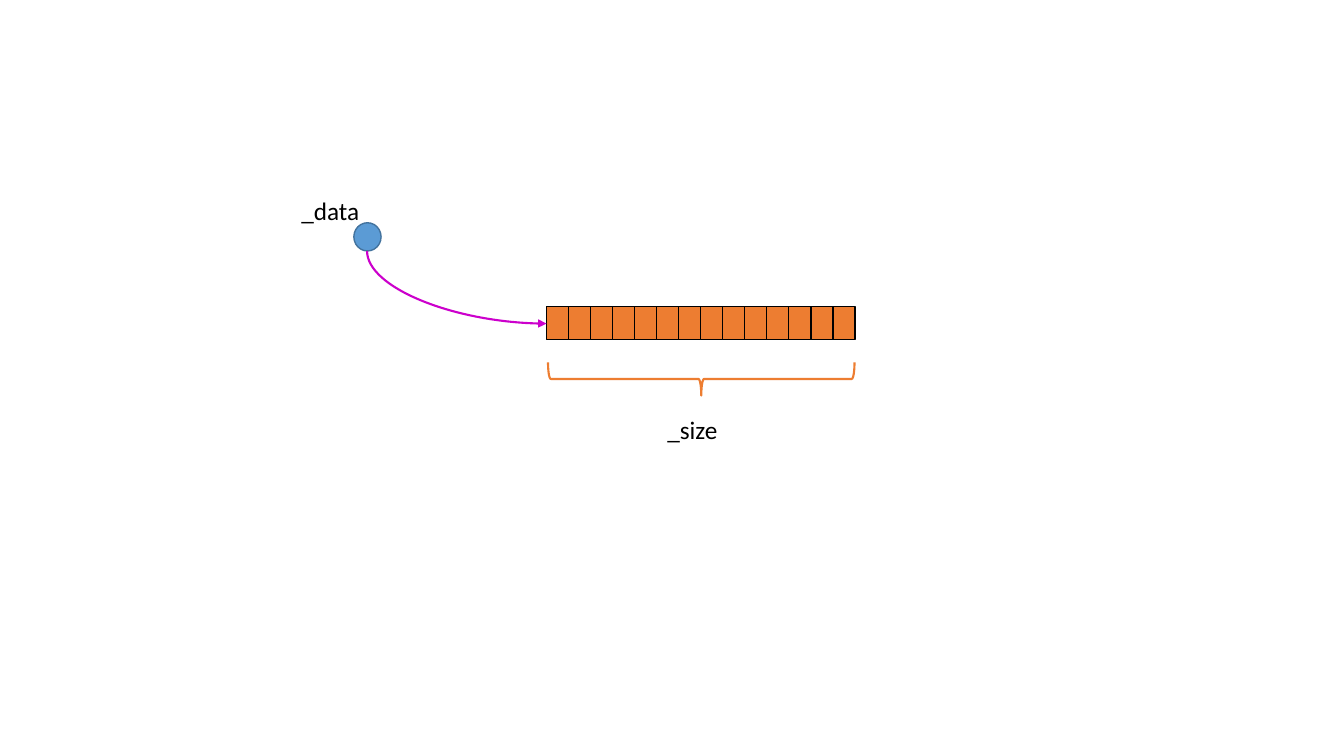
"""Build a slide showing a data pointer to a contiguous array and its size."""
from lxml import etree
from pptx import Presentation
from pptx.dml.color import RGBColor
from pptx.enum import shapes, text
from pptx.oxml.ns import qn
from pptx.util import Inches, Pt

COLORS = {"pointer": "5B9BD5", "pointer_line": "43739E", "array": "ED7D31",
          "cell_line": "000000", "arrow": "CC00CC", "text": "000000"}
FONT = "Calibri"
LABELS = [("_data", 2.89, 1.89), ("_size", 6.52, 4.06)]
POINTER = (3.51, 2.21, 0.27, 0.28)
BRACE = (6.79, 2.24, 0.33, 3.04)
CELL_COUNT = 14
ARRAY_LEFT, LAST_CELL_LEFT, ARRAY_TOP = 5.42, 8.26, 3.04
CELL_WIDTH, CELL_HEIGHT = 0.22, 0.33
ARROW_START, ARROW_END = (3.64, 2.49), (5.42, 3.21)


def color(name):
    return RGBColor.from_string(COLORS[name])


def add_shape(slide, kind, box, fill, line, line_width):
    shape = slide.shapes.add_shape(kind, *map(Inches, box))
    shape.shadow.inherit = False
    if fill:
        shape.fill.solid()
        shape.fill.fore_color.rgb = color(fill)
    else:
        shape.fill.background()
    shape.line.color.rgb = color(line)
    shape.line.width = Pt(line_width)
    return shape


def add_label(slide, words, left, top):
    box = slide.shapes.add_textbox(*map(Inches, (left, top, 0.89, 0.4)))
    box.text_frame.word_wrap = True
    box.text_frame.auto_size = text.MSO_AUTO_SIZE.SHAPE_TO_FIT_TEXT
    paragraph = box.text_frame.paragraphs[0]
    paragraph.text = words
    paragraph.font.name = FONT
    paragraph.font.size = Pt(18)
    paragraph.font.color.rgb = color("text")


def add_quarter_arrow(slide, start, end):
    center_x, center_y = [(a + b) / 2 for a, b in zip(start, end)]
    half_run, half_drop = [(b - a) / 2 for a, b in zip(start, end)]
    corners = (center_x + half_drop, center_y - half_run,
               center_x - half_drop, center_y + half_run)
    arrow = slide.shapes.add_connector(shapes.MSO_CONNECTOR.CURVE, *map(Inches, corners))
    arrow.line.color.rgb = color("arrow")
    arrow.line.width = Pt(1.5)
    properties = arrow._element.spPr
    properties.find(qn("a:xfrm")).set("rot", str(270 * 60000))
    properties.find(qn("a:prstGeom")).set("prst", "curvedConnector2")
    etree.SubElement(properties.find(qn("a:ln")), qn("a:tailEnd"), type="triangle")
    etree.SubElement(properties, qn("a:effectLst"))


presentation = Presentation()
presentation.slide_width = Inches(13.33)
presentation.slide_height = Inches(7.5)
slide = presentation.slides.add_slide(presentation.slide_layouts[6])

add_shape(slide, shapes.MSO_SHAPE.OVAL, POINTER, "pointer", "pointer_line", 1)
pitch = (LAST_CELL_LEFT - ARRAY_LEFT) / (CELL_COUNT - 1)
for index in range(CELL_COUNT):
    cell = (ARRAY_LEFT + index * pitch, ARRAY_TOP, CELL_WIDTH, CELL_HEIGHT)
    add_shape(slide, shapes.MSO_SHAPE.RECTANGLE, cell, "array", "cell_line", 1)
for label in LABELS:
    add_label(slide, *label)
brace = add_shape(slide, shapes.MSO_SHAPE.RIGHT_BRACE, BRACE, None, "array", 1.5)
brace.rotation = 90
add_quarter_arrow(slide, ARROW_START, ARROW_END)

presentation.save("out.pptx")
